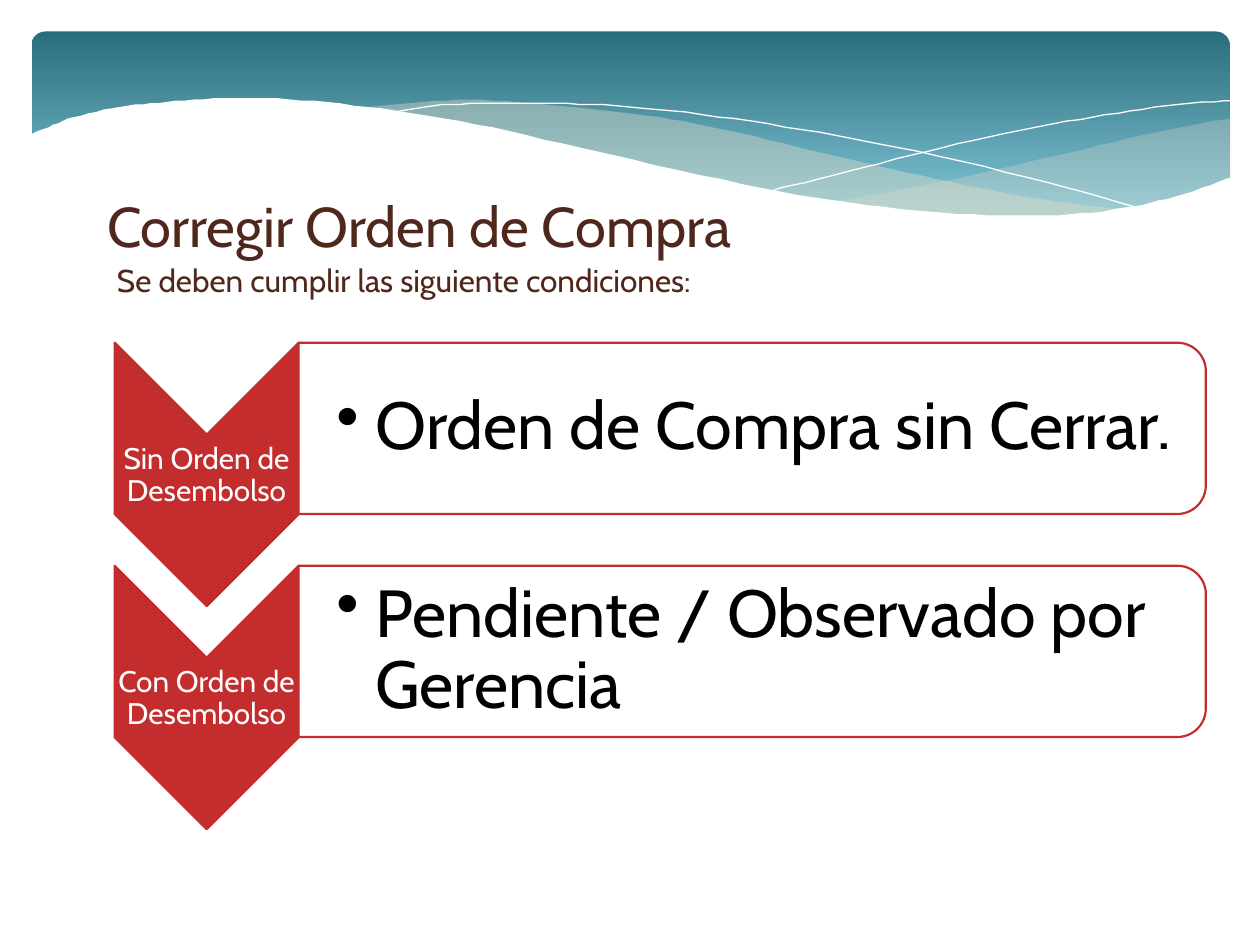
from dataclasses import dataclass
from typing import NamedTuple

from lxml import etree
from pptx import Presentation
from pptx import util as u
from pptx.dml.color import RGBColor
from pptx.enum import shapes, text
from pptx.oxml import ns

COLUMNS, ROWS = 1000, 750
CELL = u.Inches(10) // COLUMNS
ROW_TOP, ROW_PITCH = 272, 177
CHEVRON_LEFT, CHEVRON_WIDTH, CHEVRON_HEIGHT = 91, 146, 209
PANEL_WIDTH, PANEL_HEIGHT = 720, 136
CURVE_STEPS = 6


@dataclass(frozen=True)
class Theme:
    font: str = "Cabin"
    heading: str = "4F271C"
    accent: str = "C32D2E"
    body: str = "000000"
    white: str = "FFFFFF"
    band_top: str = "2A6D7D"
    band_bottom: str = "7EC3D4"
    sand: str = "E7DEC9"
    title_size: int = 32
    subtitle_size: int = 18
    label_size: int = 17
    detail_size: int = 38


class Box(NamedTuple):
    left: float
    top: float
    width: float
    height: float

    def lengths(self) -> list[int]:
        return [round(value * CELL) for value in self]

    def turned(self) -> "Box":
        shift = (self.width - self.height) / 2
        return Box(self.left + shift, self.top - shift, self.height, self.width)


class Condition(NamedTuple):
    label: str
    detail: str


class Wave(NamedTuple):
    edges: list
    fill: str | None = None
    opacity: int = 100


THEME = Theme()
CONDITIONS = [
    Condition("Sin Orden de Desembolso", "Orden de Compra sin Cerrar."),
    Condition("Con Orden de Desembolso", "Pendiente / Observado por Gerencia"),
]
WAVES = [
    Wave([[(977, 94), (922, 104), (862, 118), (780, 137), (707, 152), (662, 160)],
          [(662, 160), (719, 167), (770, 171), (815, 172), (864, 170), (907, 163),
           (944, 154), (977, 142)]], THEME.sand, 29),
    Wave([[(894, 167), (838, 160), (776, 149), (707, 134), (630, 116), (570, 102),
           (515, 92), (465, 86), (400, 80), (345, 80), (287, 86)],
          [(287, 86), (343, 94), (405, 106), (491, 126), (567, 143), (635, 156),
           (696, 165), (749, 170), (797, 173), (849, 172), (894, 167)]], THEME.sand, 40),
    Wave([[(310, 90), (344, 84), (388, 82), (433, 82), (489, 84), (557, 91),
           (637, 103), (728, 120), (832, 145), (908, 166)]]),
    Wave([[(614, 151), (673, 136), (749, 117), (807, 104), (867, 93), (925, 84),
           (976, 80)]]),
    Wave([[(977, 141), (940, 154), (899, 164), (850, 170), (793, 171), (726, 167),
           (648, 157), (555, 139), (447, 114), (365, 96), (292, 85), (230, 79),
           (177, 78), (132, 81), (95, 85), (59, 93), (36, 102), (23, 107)],
          [(23, 224), (977, 224)]], THEME.white),
]


def smooth(points: list) -> list:
    if len(points) < 3:
        return points
    padded = [points[0], *points, points[-1]]
    curve = []
    for before, start, end, after in zip(padded, padded[1:], padded[2:], padded[3:]):
        for step in range(CURVE_STEPS):
            t = step / CURVE_STEPS
            curve.append(tuple(
                0.5 * (2 * b + (c - a) * t + (2 * a - 5 * b + 4 * c - d) * t**2
                       + (3 * b - a - 3 * c + d) * t**3)
                for a, b, c, d in zip(before, start, end, after)))
    return [*curve, points[-1]]


def paint(shape, fill: str | None, line: str | None, width: float = 1.25,
          opacity: int = 100) -> None:
    shape.shadow.inherit = False
    if fill:
        shape.fill.solid()
        shape.fill.fore_color.rgb = RGBColor.from_string(fill)
        if opacity < 100:
            color = shape.fill._xPr.find(".//" + ns.qn("a:srgbClr"))
            etree.SubElement(color, ns.qn("a:alpha"), val=str(opacity * 1000))
    else:
        shape.fill.background()
    if line:
        shape.line.color.rgb = RGBColor.from_string(line)
        shape.line.width = u.Pt(width)
    else:
        shape.line.fill.background()


def draw_wave(slide, wave: Wave) -> None:
    points = [point for edge in wave.edges for point in smooth(edge)]
    builder = slide.shapes.build_freeform(*points[0], scale=CELL)
    builder.add_line_segments(points[1:], close=wave.fill is not None)
    line = None if wave.fill else THEME.white
    paint(builder.convert_to_shape(), wave.fill, line, 0, wave.opacity)


def draw_header(slide) -> None:
    band = slide.shapes.add_shape(
        shapes.MSO_SHAPE.ROUNDED_RECTANGLE, *Box(25, 25, 951, 156).lengths())
    band.adjustments[0] = 0.07
    paint(band, None, None)
    band.fill.gradient()
    band.fill.gradient_angle = 270
    stops = zip(band.fill.gradient_stops, (0, 0.9), (THEME.band_top, THEME.band_bottom))
    for stop, position, color in stops:
        stop.position = position
        stop.color.rgb = RGBColor.from_string(color)
    for wave in WAVES:
        draw_wave(slide, wave)


def write(frame, wording: str, size: int, color: str, anchor=text.MSO_ANCHOR.TOP,
          align=text.PP_ALIGN.LEFT, insets: tuple | None = None):
    frame.word_wrap = True
    frame.auto_size = text.MSO_AUTO_SIZE.NONE
    frame.vertical_anchor = anchor
    if insets:
        frame.margin_left, frame.margin_top, frame.margin_right, frame.margin_bottom = (
            u.Inches(inset) for inset in insets)
    paragraph = frame.paragraphs[0]
    paragraph.alignment = align
    run = paragraph.add_run()
    run.text = wording
    run.font.name = THEME.font
    run.font.size = u.Pt(size)
    run.font.color.rgb = RGBColor.from_string(color)
    return paragraph


def add_bullet(paragraph) -> None:
    properties = paragraph._p.get_or_add_pPr()
    indent = u.Inches(0.31)
    properties.set("marL", str(indent))
    properties.set("indent", str(-indent))
    etree.SubElement(properties, ns.qn("a:buChar"), char="•")


def draw_condition(slide, condition: Condition, top: float) -> None:
    panel_left = CHEVRON_LEFT + CHEVRON_WIDTH
    chevron_box = Box(CHEVRON_LEFT, top, CHEVRON_WIDTH, CHEVRON_HEIGHT)
    panel_box = Box(panel_left, top, PANEL_WIDTH, PANEL_HEIGHT)
    for kind, box, fill, opacity in (
            (shapes.MSO_SHAPE.CHEVRON, chevron_box, THEME.accent, 100),
            (shapes.MSO_SHAPE.ROUND_2_SAME_RECTANGLE, panel_box, THEME.white, 90)):
        shape = slide.shapes.add_shape(kind, *box.turned().lengths())
        shape.rotation = 90
        paint(shape, fill, THEME.accent, opacity=opacity)
    middle = text.MSO_ANCHOR.MIDDLE
    label = slide.shapes.add_textbox(
        *Box(CHEVRON_LEFT, top + 74, CHEVRON_WIDTH, 63).lengths())
    detail = slide.shapes.add_textbox(*Box(panel_left, top + 7, 713, 122).lengths())
    label_paragraph = write(label.text_frame, condition.label, THEME.label_size,
                            THEME.white, middle, text.PP_ALIGN.CENTER, (0.01,) * 4)
    detail_paragraph = write(detail.text_frame, condition.detail, THEME.detail_size,
                             THEME.body, middle, insets=(0.3, 0.03, 0.03, 0.03))
    for paragraph in (label_paragraph, detail_paragraph):
        paragraph.line_spacing = 0.9
        paragraph.space_after = u.Pt(6)
    add_bullet(detail_paragraph)


def draw_titles(slide) -> None:
    subtitle = slide.shapes.add_textbox(*Box(83, 202, 787, 55).lengths())
    write(subtitle.text_frame, "Se deben cumplir las siguiente condiciones:",
          THEME.subtitle_size, THEME.heading)
    title = slide.shapes.title
    title.left, title.top, title.width, title.height = Box(75, 123, 551, 87).lengths()
    write(title.text_frame, "Corregir Orden de Compra", THEME.title_size,
          THEME.heading, text.MSO_ANCHOR.BOTTOM)
    slide.shapes._spTree.append(title._element)


def main() -> None:
    presentation = Presentation()
    presentation.slide_width, presentation.slide_height = COLUMNS * CELL, ROWS * CELL
    slide = presentation.slides.add_slide(presentation.slide_layouts[5])
    draw_header(slide)
    draw_titles(slide)
    for index, condition in enumerate(CONDITIONS):
        draw_condition(slide, condition, ROW_TOP + index * ROW_PITCH)
    presentation.save("out.pptx")


if __name__ == "__main__":
    main()
